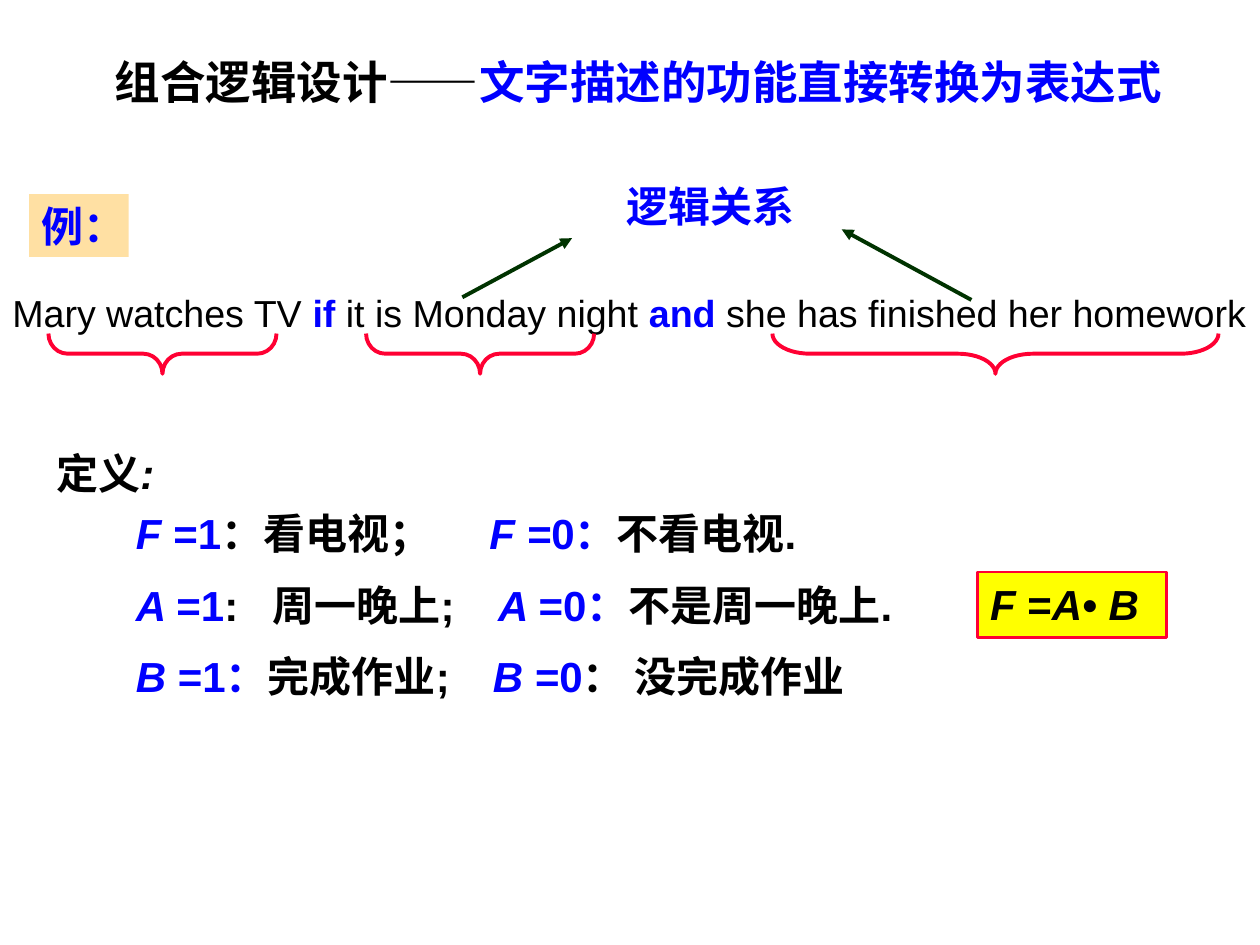
from lxml.etree import SubElement
from pptx import Presentation
from pptx.dml.color import RGBColor
from pptx.enum.shapes import MSO_CONNECTOR, MSO_SHAPE
from pptx.enum.text import MSO_ANCHOR, MSO_AUTO_SIZE, PP_ALIGN
from pptx.oxml.ns import qn
from pptx.util import Pt

BLACK, BLUE, RED, GREEN = "000000", "0000FF", "FF0033", "003300"
YELLOW, SAND = "FFFF00", "FFE0A3"


def rgb(value):
    return RGBColor.from_string(value)


def place(sp, box):
    sp.left, sp.top, sp.width, sp.height = (Pt(v) for v in box)


def write(sp, lines, size=24, font="Arial", bold=True, align=PP_ALIGN.LEFT, tabs=()):
    """Each line is a list of runs: (text, colour, marks), marks of b and i."""
    tf = sp.text_frame
    tf.word_wrap = True
    tf.auto_size = MSO_AUTO_SIZE.NONE
    tf.vertical_anchor = MSO_ANCHOR.TOP
    for i, line in enumerate(lines):
        p = tf.add_paragraph() if i else tf.paragraphs[0]
        if tabs:
            tab_list = SubElement(p._p.get_or_add_pPr(), qn("a:tabLst"))
            for stop in tabs[i]:
                SubElement(tab_list, qn("a:tab"), pos=str(Pt(stop)), algn="l")
        p.alignment = align
        p.space_before = Pt(12 if i else 0)
        p.font.size, p.font.name, p.font.bold = Pt(size), font, bold
        for text, colour, marks in line:
            r = p.add_run()
            r.text = text
            r.font.color.rgb = rgb(colour)
            if "b" in marks:
                r.font.bold = True
            if "i" in marks:
                r.font.italic = True


def add_text(s, box, lines, **style):
    sp = s.shapes.add_textbox(*(Pt(v) for v in box))
    write(sp, lines, **style)


def add_label(s, box, runs, fill, line=None, **style):
    sp = s.shapes.add_shape(MSO_SHAPE.RECTANGLE, *(Pt(v) for v in box))
    sp.shadow.inherit = False
    sp.fill.solid()
    sp.fill.fore_color.rgb = rgb(fill)
    if line:
        sp.line.color.rgb = rgb(line)
        sp.line.width = Pt(1.5)
    else:
        sp.line.fill.background()
    write(sp, [runs], **style)


def add_brace(s, box, curve):
    """A left brace turned to point down, filling the given box."""
    x, y, w, h = box
    sp = s.shapes.add_shape(MSO_SHAPE.LEFT_BRACE, Pt(x + (w - h) / 2),
                            Pt(y + (h - w) / 2), Pt(h), Pt(w))
    sp.rotation = 270
    sp.adjustments[0] = curve
    sp.shadow.inherit = False
    sp.fill.background()
    sp.line.color.rgb = rgb(RED)
    sp.line.width = Pt(2.25)


def add_arrow(s, start, end):
    c = s.shapes.add_connector(MSO_CONNECTOR.STRAIGHT, *(Pt(v) for v in start + end))
    c.line.color.rgb = rgb(GREEN)
    c.line.width = Pt(2.25)
    SubElement(c.line._get_or_add_ln(), qn("a:tailEnd"), type="triangle")
    SubElement(c._element.spPr, qn("a:effectLst"))


def add_title(s, box):
    sp = s.shapes.title
    place(sp, box)
    write(sp, [[("组合逻辑设计——", BLACK, ""),
                ("文字描述的功能直接转换为表达式", BLUE, "")]], size=26)


def add_example(s, box):
    x, y, w, h = box
    # Sentence with its connectives in blue
    add_text(s, (x, y + 62.6, w, 34), [[
        ("Mary watches TV ", BLACK, ""), ("if", BLUE, "b"),
        (" it is Monday night ", BLACK, ""), ("and", BLUE, "b"),
        (" she has finished her homework", BLACK, "")]], size=21.5, bold=False)
    # Braces under the three clauses
    for left, width, curve in ((27.7, 130.3, 0.478), (209.2, 130.3, 0.478),
                               (441.4, 254.9, 0.935)):
        add_brace(s, (x + left, y + h - 23, width, 23), curve)
    # Heading that both arrows point to
    add_text(s, (x + 318.2, y, 175.7, 36), [[("逻辑关系", BLUE, "")]],
             align=PP_ALIGN.CENTER)
    add_arrow(s, (x + 264.2, y + 70.5), (x + 326.9, y + 36.7))
    add_arrow(s, (x + 555.1, y + 72), (x + 481, y + 31.7))
    add_label(s, (x + 16.6, y + 11.5, 56.9, 36), [("例：", BLUE, "")], SAND,
              font="Times New Roman")


def add_definitions(s, box):
    x, y, w, h = box
    add_text(s, (x, y, 118.8, 36), [[("定义", BLACK, ""), (":", BLACK, "i")]])
    # Meaning of each variable at 1 and at 0
    lines = [
        [("F ", BLUE, "i"), ("=1", BLUE, ""), ("：看电视；\t", BLACK, ""),
         ("F =", BLUE, "i"), ("0：", BLUE, ""), ("不看电视.", BLACK, "")],
        [("A ", BLUE, "i"), ("=1", BLUE, ""), (":\t周一晚上;\t", BLACK, ""),
         ("A ", BLUE, "i"), ("=0：", BLUE, ""), ("不是周一晚上.", BLACK, "")],
        [("B ", BLUE, "i"), ("=1：", BLUE, ""), ("完成作业;\t", BLACK, ""),
         ("B ", BLUE, "i"), ("=0", BLUE, ""), ("： 没完成作业", BLACK, "")],
    ]
    add_text(s, (x + 45.4, y + 34.6, 504.7, h - 34.6), lines,
             tabs=((202,), (78, 207), (204,)))
    # Resulting expression
    add_label(s, (x + w - 108, y + 74.9, 108, 37.4),
              [("F ", BLACK, "i"), ("=", BLACK, ""), ("A• B", BLACK, "i")],
              YELLOW, RED)


def main():
    prs = Presentation()
    prs.slide_width, prs.slide_height = Pt(720), Pt(540)
    s = prs.slides.add_slide(prs.slide_layouts[5])
    add_title(s, (58.3, 27.4, 681.1, 38.9))
    add_example(s, (0, 99.4, 740.2, 114.2))
    add_definitions(s, (25.2, 252, 641.5, 158.4))
    prs.save("out.pptx")


if __name__ == "__main__":
    main()
